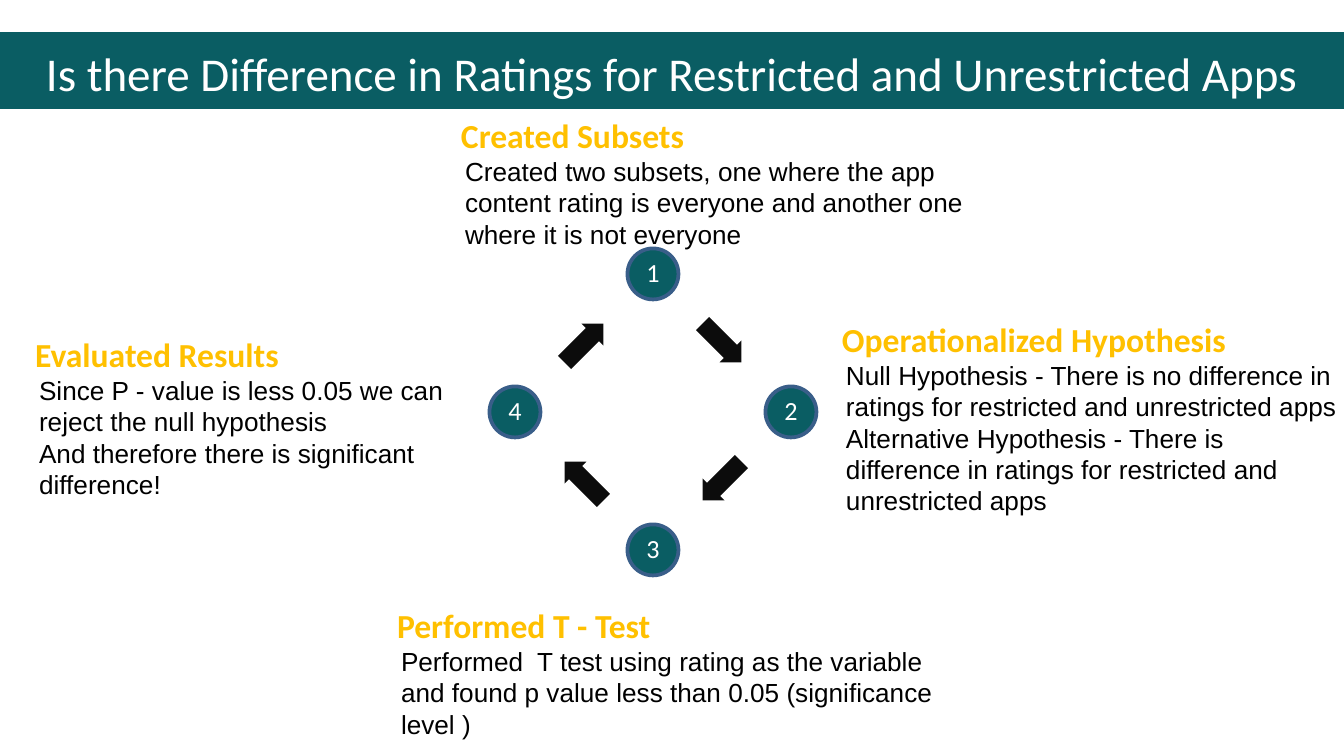
"""Build a slide showing a four-step cycle for testing app ratings."""
import pptx
import pptx.util
import pptx.dml.color
import pptx.enum.shapes
import pptx.enum.text

SHAPE = pptx.enum.shapes.MSO_SHAPE
ANCHOR = pptx.enum.text.MSO_ANCHOR
ALIGN = pptx.enum.text.PP_ALIGN
SCALE = 914400 / 134.4

THEME = {
    "teal": "0A5D63", "rim": "395E89", "arrow": "0C0C0C",
    "gold": "FFC000", "white": "FFFFFF", "black": "000000",
    "title": 25.2, "head": 18, "body": 14,
    "sans": "Calibri", "plain": "Arial",
}
TITLE = "Is there Difference in Ratings for Restricted and Unrestricted Apps"
STEPS = [
    ("Created Subsets", (448, 108, 583, 149),
     ["Created two subsets, one where the app content rating is everyone "
      "and another one where it is not everyone"]),
    ("Operationalized Hypothesis", (829, 312, 527, 276),
     ["Null Hypothesis - There is no difference in ratings for restricted "
      "and unrestricted apps",
      "Alternative Hypothesis - There is difference in ratings for restricted "
      "and unrestricted apps"]),
    ("Performed T - Test", (384, 598, 577, 151),
     ["Performed  T test using rating as the variable and found p value less "
      "than 0.05 (significance level )"]),
    ("Evaluated Results", (22, 327, 442, 245),
     ["Since P - value is less 0.05 we can reject the null hypothesis",
      "And therefore there is significant difference!"]),
]
CENTER = (653, 412)
RING = 138
DISC = 51
ARROW = (55, 31)
INSET = (13, 7)
INDENT = 4


def px(n):
    return pptx.util.Emu(round(n * SCALE))


def color(name):
    return pptx.dml.color.RGBColor.from_string(THEME[name])


def write(frame, text, size="body", font="sans", tint="white", bold=False,
          align=ALIGN.LEFT, space=1.0, indent=0, first=True):
    para = frame.paragraphs[0] if first else frame.add_paragraph()
    para.alignment = align
    para.line_spacing = space
    para._p.get_or_add_pPr().set("marL", str(px(indent)))
    run = para.add_run()
    run.text = text
    run.font.size = pptx.util.Pt(THEME[size])
    run.font.name = THEME[font]
    run.font.bold = bold
    run.font.color.rgb = color(tint)


def setup(frame, anchor, inset):
    frame.word_wrap = True
    frame.vertical_anchor = anchor
    frame.margin_left = frame.margin_right = px(inset[0])
    frame.margin_top = frame.margin_bottom = px(inset[1])


def draw(slide, kind, box, fill, rim=None):
    shape = slide.shapes.add_shape(kind, *map(px, box))
    shape.shadow.inherit = False
    shape.fill.solid()
    shape.fill.fore_color.rgb = color(fill)
    if rim:
        shape.line.color.rgb = color(rim)
        shape.line.width = pptx.util.Pt(2)
    else:
        shape.line.fill.background()
    return shape


def around(shift, wide, high):
    return (CENTER[0] + shift[0] - wide / 2,
            CENTER[1] + shift[1] - high / 2, wide, high)


def main():
    deck = pptx.Presentation()
    deck.slide_width, deck.slide_height = px(1344), px(756)
    slide = deck.slides.add_slide(deck.slide_layouts[6])

    band = draw(slide, SHAPE.RECTANGLE, (0, 32, 1344, 77), "teal")
    setup(band.text_frame, ANCHOR.BOTTOM, INSET)
    write(band.text_frame, TITLE, size="title", align=ALIGN.CENTER, space=0.9)

    spot, turn = (0, -RING), (69, -69)
    for i, (head, box, lines) in enumerate(STEPS):
        disc = draw(slide, SHAPE.OVAL, around(spot, DISC, DISC), "teal", "rim")
        setup(disc.text_frame, ANCHOR.MIDDLE, (0, 0))
        write(disc.text_frame, str(i + 1), align=ALIGN.CENTER, space=0.9)

        arrow = draw(slide, SHAPE.RIGHT_ARROW, around(turn, *ARROW), "arrow")
        arrow.adjustments[0] = 0.6
        arrow.rotation = 45 + 90 * i
        spot, turn = (-spot[1], spot[0]), (-turn[1], turn[0])

        frame = slide.shapes.add_textbox(*map(px, box)).text_frame
        setup(frame, ANCHOR.TOP, INSET)
        write(frame, head, size="head", tint="gold", bold=True)
        for line in lines:
            write(frame, line, font="plain", tint="black", indent=INDENT,
                  first=False)

    deck.save("out.pptx")


if __name__ == "__main__":
    main()
